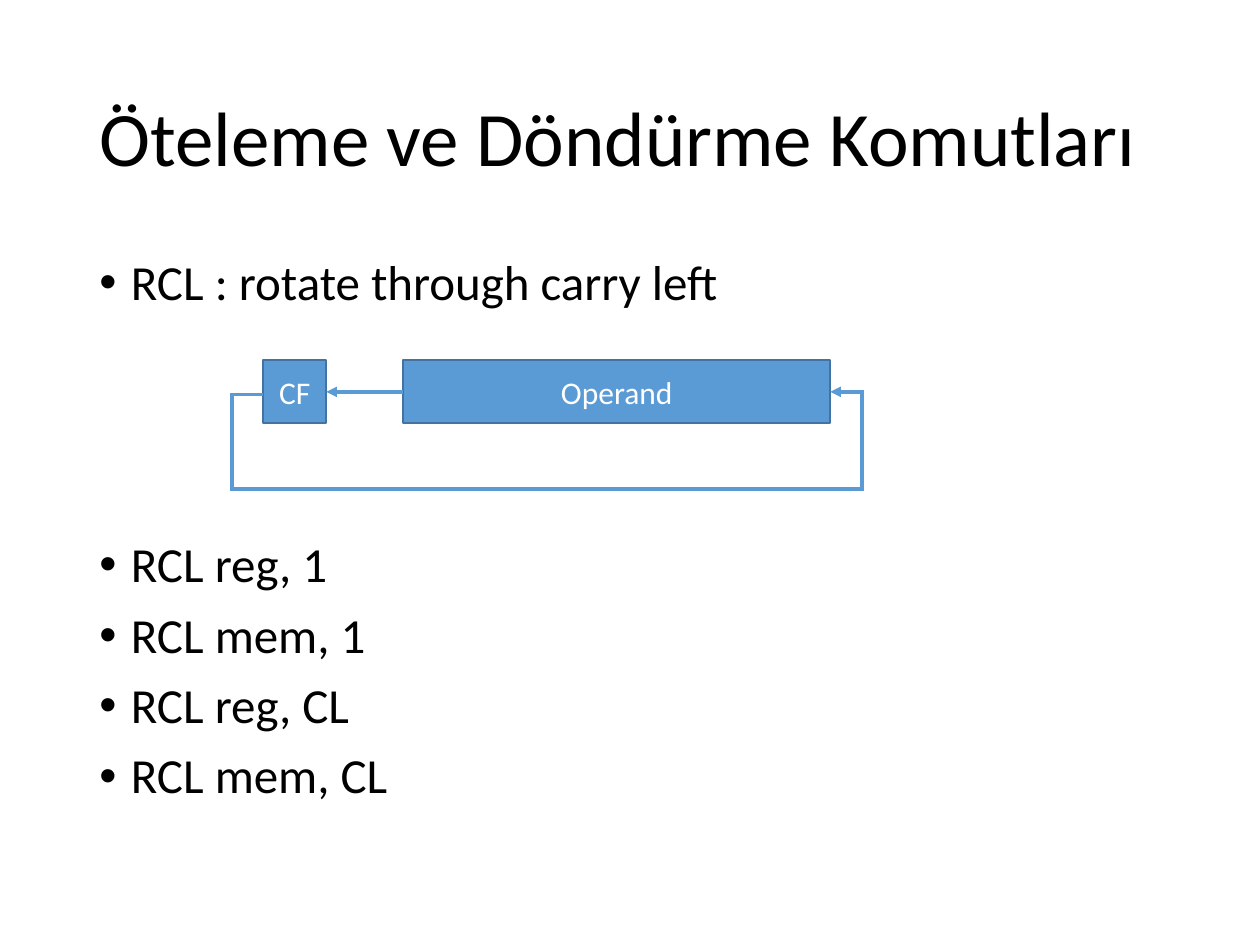
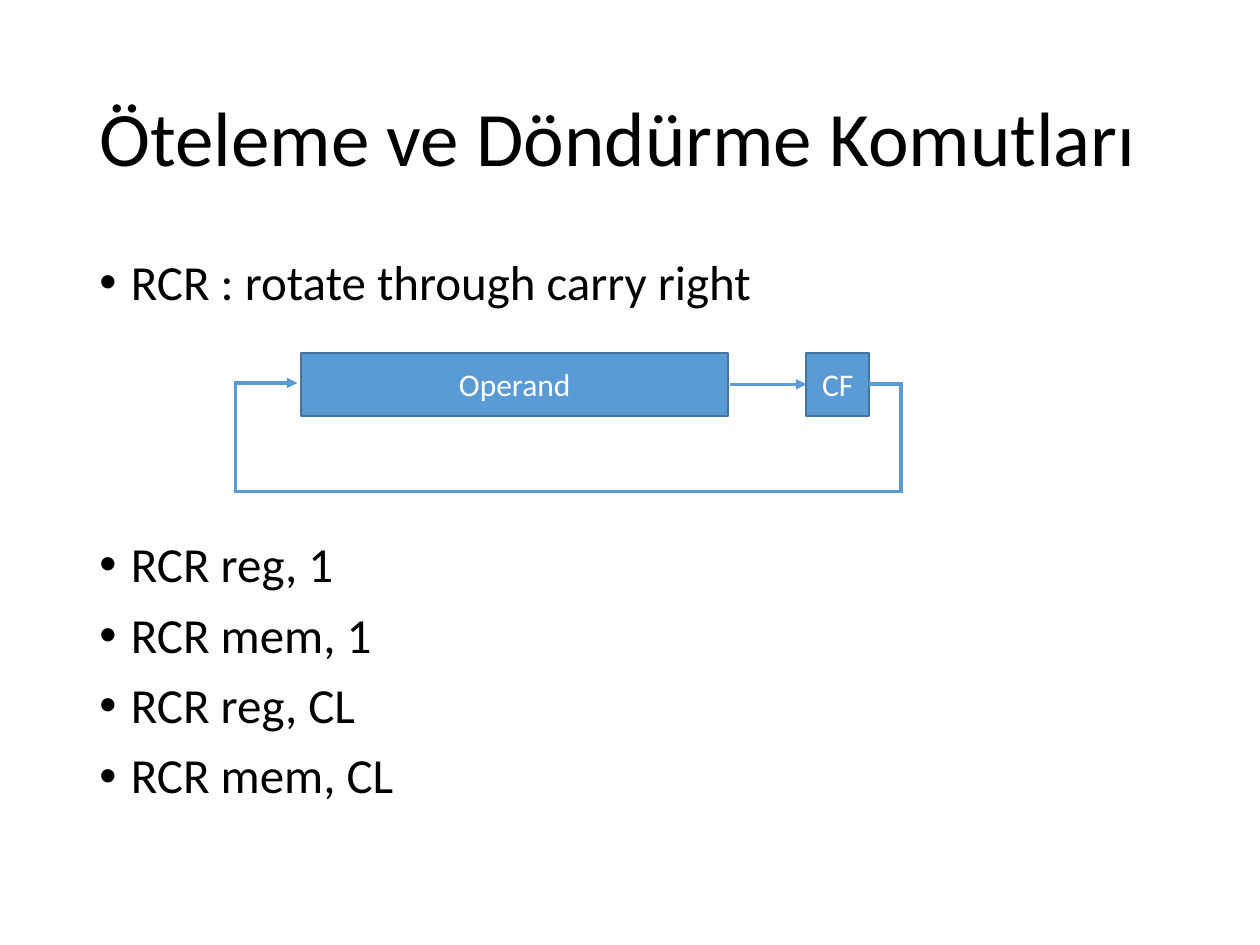
from lxml import etree
from pptx import Presentation
from pptx import util as u
from pptx.dml.color import RGBColor
from pptx.enum import shapes, text
from pptx.oxml.ns import qn

BLACK = RGBColor(0x00, 0x00, 0x00)
WHITE = RGBColor(0xFF, 0xFF, 0xFF)
BLUE = RGBColor(0x5B, 0x9B, 0xD5)
DARK_BLUE = RGBColor(0x43, 0x73, 0x9E)
FONT = "Calibri"

TITLE = "Öteleme ve Döndürme Komutları"
TITLE_BOX = (0.69, 0.4, 8.62, 1.45)
BODY_BOX = (0.69, 2, 8.62, 4.76)
OPERANDS = ("reg, 1", "mem, 1", "reg, CL", "mem, CL")
PARAGRAPH_GAP = 10
DIAGRAM_GAP = 131  # room for the diagram between first and second bullet

REGISTER_HEIGHT = 0.5
CF_WIDTH = 0.5
OPERAND_WIDTH = 3.39


def inches(*lengths):
    return [u.Inches(length) for length in lengths]


def write(frame, lines, size, color=BLACK, align=text.PP_ALIGN.LEFT,
          anchor=text.MSO_ANCHOR.TOP, spacing=1.0, gaps=(), bullet=None):
    """Fill a text frame; gaps holds the space before each later line."""
    frame.word_wrap = True
    frame.vertical_anchor = anchor
    for number, line in enumerate(lines):
        paragraph = frame.add_paragraph() if number else frame.paragraphs[0]
        if bullet:
            properties = paragraph._p.get_or_add_pPr()
            properties.set("marL", str(u.Inches(0.25)))
            properties.set("indent", str(u.Inches(-0.25)))
            etree.SubElement(properties, qn("a:buFont"), typeface="Arial")
            etree.SubElement(properties, qn("a:buChar"), char=bullet)
        paragraph.alignment = align
        paragraph.line_spacing = spacing
        if number:
            paragraph.space_before = u.Pt(gaps[number - 1])
        run = paragraph.add_run()
        run.text = line
        run.font.name = FONT
        run.font.size = u.Pt(size)
        run.font.color.rgb = color


def style_line(line, arrow=True):
    line.color.rgb = BLUE
    line.width = u.Pt(2)
    outline = line._get_or_add_ln()
    etree.SubElement(outline, qn("a:miter"), lim="800000")
    etree.SubElement(outline, qn("a:tailEnd"), type="triangle")


def add_title(slide, box):
    title = slide.shapes.add_textbox(*inches(*box))
    write(title.text_frame, [TITLE], 44, spacing=0.9,
          anchor=text.MSO_ANCHOR.MIDDLE)


def add_commands(slide, box, command, meaning):
    lines = [f"{command} : {meaning}"]
    lines += [f"{command} {operand}" for operand in OPERANDS]
    gaps = [DIAGRAM_GAP] + [PARAGRAPH_GAP] * (len(OPERANDS) - 1)
    commands = slide.shapes.add_textbox(*inches(*box))
    write(commands.text_frame, lines, 28, spacing=0.9, gaps=gaps, bullet="•")


def add_register(slide, left, top, width, label):
    register = slide.shapes.add_shape(
        shapes.MSO_SHAPE.RECTANGLE, *inches(left, top, width, REGISTER_HEIGHT))
    register.shadow.inherit = False
    register.fill.solid()
    register.fill.fore_color.rgb = BLUE
    register.line.color.rgb = DARK_BLUE
    register.line.width = u.Pt(1)
    write(register.text_frame, [label], 18, color=WHITE,
          align=text.PP_ALIGN.CENTER, anchor=text.MSO_ANCHOR.MIDDLE)


def add_rotation(slide, left, top, cf, operand, shift, loop):
    """Draw CF, operand and both arrows; offsets count from left and top."""
    add_register(slide, left + cf, top, CF_WIDTH, "CF")
    add_register(slide, left + operand, top, OPERAND_WIDTH, "Operand")

    # Straight arrow from operand to carry flag
    middle = top + REGISTER_HEIGHT / 2
    start, end = shift
    arrow = slide.shapes.add_connector(
        shapes.MSO_CONNECTOR.STRAIGHT,
        *inches(left + start, middle, left + end, middle))
    style_line(arrow.line)
    etree.SubElement(arrow._element.spPr, qn("a:effectLst"))

    # Return path from carry flag back to operand
    points = [inches(left + x, top + y) for x, y in loop]
    builder = slide.shapes.build_freeform(*points[0], scale=1.0)
    builder.add_line_segments(points[1:], close=False)
    return_path = builder.convert_to_shape()
    return_path.shadow.inherit = False
    return_path.fill.background()
    style_line(return_path.line)


def add_command_slide(deck, command, meaning, rotation):
    slide = deck.slides.add_slide(deck.slide_layouts[6])
    add_title(slide, TITLE_BOX)
    add_commands(slide, BODY_BOX, command, meaning)
    add_rotation(slide, **rotation)


ROTATE_LEFT = dict(
    left=1.84, top=2.86, cf=0.25, operand=1.36, shift=(1.36, 0.75),
    loop=[(0.25, 0.27), (0, 0.27), (0, 1.02), (5, 1.02), (5, 0.25),
          (4.75, 0.25)])
ROTATE_RIGHT = dict(
    left=1.87, top=2.8, cf=4.53, operand=0.52, shift=(3.92, 4.53),
    loop=[(5.03, 0.25), (5.28, 0.25), (5.28, 1.1), (0, 1.1), (0, 0.24),
          (0.49, 0.24)])


def main():
    deck = Presentation()
    deck.slide_width, deck.slide_height = inches(10, 7.5)
    add_command_slide(deck, "RCL", "rotate through carry left", ROTATE_LEFT)
    add_command_slide(deck, "RCR", "rotate through carry right", ROTATE_RIGHT)
    deck.save("out.pptx")


if __name__ == "__main__":
    main()
